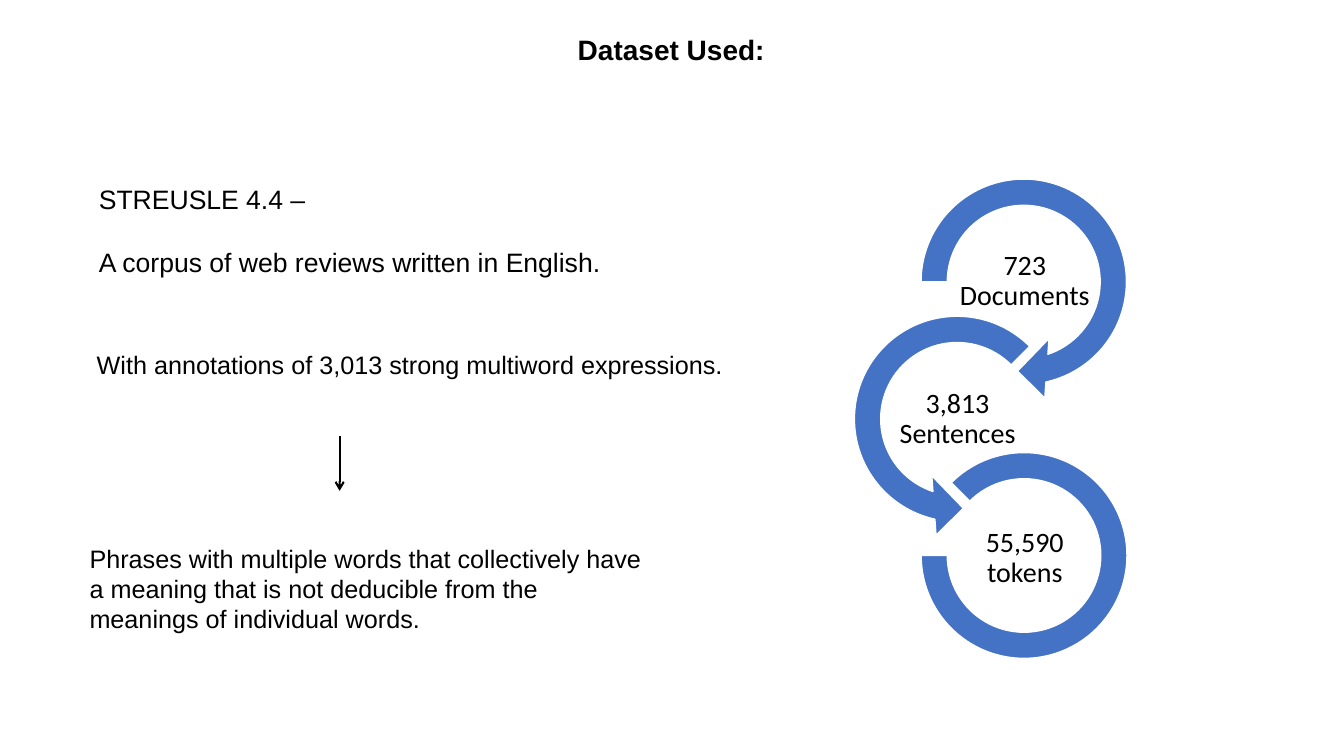
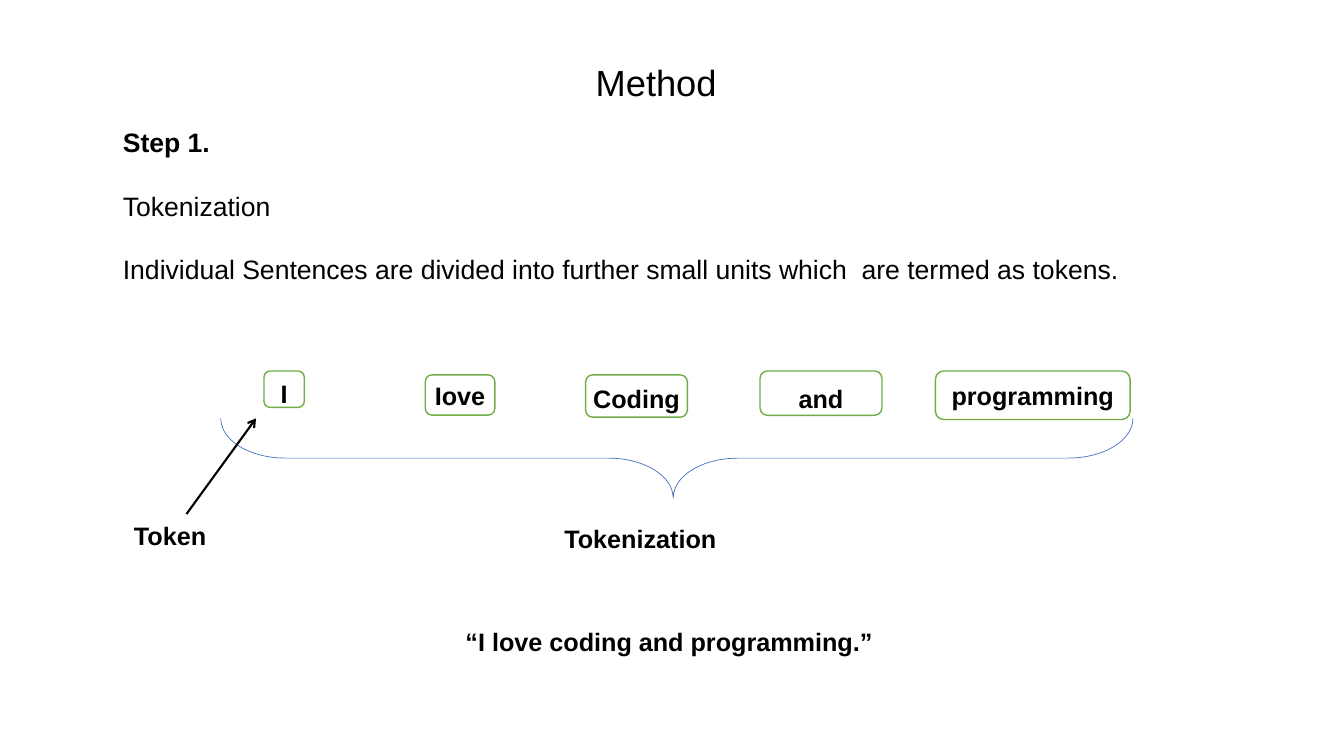
import pptx
import pptx.util
import pptx.dml.color
import pptx.enum.shapes
import pptx.enum.text
import pptx.oxml.ns
import lxml.etree

Pt = pptx.util.Pt
RGB = pptx.dml.color.RGBColor.from_string
SHAPE = pptx.enum.shapes.MSO_SHAPE
ANCHOR = pptx.enum.text.MSO_ANCHOR
ALIGN = pptx.enum.text.PP_ALIGN
qn = pptx.oxml.ns.qn

COLORS = {"text": "000000", "blue": "4472C4", "green": "70AD47", "white": "FFFFFF"}


def write(frame, lines, size, bold=False, align=ALIGN.LEFT, font="Arial", spacing=None, gap=0):
    """Fill a text frame with uniformly formatted, unbulleted paragraphs."""
    frame.word_wrap = True
    frame.auto_size = pptx.enum.text.MSO_AUTO_SIZE.NONE
    frame.text = "\n".join(lines)
    for index, paragraph in enumerate(frame.paragraphs):
        paragraph.alignment = align
        paragraph.line_spacing = spacing or Pt(size * 1.2)
        paragraph.space_before = Pt(gap if index else 0)
        paragraph.font.name = font
        paragraph.font.size = Pt(size)
        paragraph.font.bold = bold
        paragraph.font.color.rgb = RGB(COLORS["text"])
        properties = paragraph._p.get_or_add_pPr()
        properties.set("marL", "0")
        properties.set("indent", "0")
        bullet = lxml.etree.Element(qn("a:buNone"))
        properties.insert_element_before(bullet, "a:tabLst", "a:defRPr", "a:extLst")


def add_arrow(slide, start, end):
    """Draw a black line with an open arrowhead at its end."""
    arrow = slide.shapes.add_connector(
        pptx.enum.shapes.MSO_CONNECTOR.STRAIGHT, *map(Pt, start + end))
    arrow.line.color.rgb = RGB(COLORS["text"])
    arrow.line.width = Pt(1.5)
    lxml.etree.SubElement(arrow.line._get_or_add_ln(), qn("a:tailEnd"), type="arrow")
    lxml.etree.SubElement(arrow._element.spPr, qn("a:effectLst"))


presentation = pptx.Presentation()
presentation.slide_width = Pt(960)
presentation.slide_height = Pt(540)

# Titles and body text: (text, size, bold, box), then (lines, box)
slide_texts = [
    (("Dataset Used:", 20, True, (63, 22, 833, 26)),
     (["STREUSLE 4.4 –", "A corpus of web reviews written in English."],
      (63.4, 126.7, 502, 76))),
    (("Method", 25.9, False, (50.4, 42, 836.6, 33)),
     (["Step 1.", "Tokenization",
       "Individual Sentences are divided into further small units which  are termed as tokens."],
      (80.6, 86.4, 806.4, 122))),
]
for (title, size, bold, title_box), (lines, body_box) in slide_texts:
    slide = presentation.slides.add_slide(presentation.slide_layouts[1])
    heading, body = slide.placeholders
    for shape, box in ((heading, title_box), (body, body_box)):
        shape.left, shape.top, shape.width, shape.height = map(Pt, box)
    write(heading.text_frame, [title], size, bold, ALIGN.CENTER)
    heading.text_frame.vertical_anchor = ANCHOR.MIDDLE
    write(body.text_frame, lines, 19, gap=22.6)
dataset_slide, method_slide = presentation.slides
method_slide.placeholders[1].text_frame.paragraphs[0].font.bold = True

# Free-standing labels
labels = [
    (dataset_slide, "With annotations of 3,013 strong multiword expressions.", False,
     (62, 246.2, 466, 29)),
    (dataset_slide, "Phrases with multiple words that collectively have a meaning that is "
     "not deducible from the meanings of individual words.", False, (56.9, 384.5, 412, 73)),
    (method_slide, "“I love coding and programming.”", True, (325.4, 443.5, 309, 29)),
    (method_slide, "Tokenization", True, (396, 370, 142, 29)),
    (method_slide, "Token", True, (88.6, 368, 138, 29)),
]
for slide, text, bold, box in labels:
    label = slide.shapes.add_textbox(*map(Pt, box))
    write(label.text_frame, [text], 18, bold)

# Dataset: chain of circular arrows
chain = [
    (SHAPE.CIRCULAR_ARROW, (646, 116, 170.6), (0.11, 11.423, 45, 108, 0.125),
     "723 Documents", 684),
    (SHAPE.LEFT_CIRCULAR_ARROW, (598.4, 214, 170.6), (0.11, 11.423, 63, 189, 0.125),
     "3,813 Sentences", 636),
    (SHAPE.BLOCK_ARC, (658, 323.3, 147), (135, 108, 0.127), "55,590 tokens", 684),
]
for index, (kind, (left, top, side), adjustments, text, text_left) in enumerate(chain):
    ring = dataset_slide.shapes.add_shape(kind, Pt(left), Pt(top), Pt(side), Pt(side))
    for position, value in enumerate(adjustments):
        ring.adjustments[position] = value
    ring.shadow.inherit = False
    ring.fill.solid()
    ring.fill.fore_color.rgb = RGB(COLORS["blue"])
    ring.line.color.rgb = RGB(COLORS["white"])
    ring.line.width = Pt(1)

    count = dataset_slide.shapes.add_textbox(
        Pt(text_left), Pt(177 + 99 * index), Pt(96), Pt(47.6))
    frame = count.text_frame
    frame.margin_left = frame.margin_right = frame.margin_top = frame.margin_bottom = Pt(0.7)
    frame.vertical_anchor = ANCHOR.MIDDLE
    write(frame, [text], 20, align=ALIGN.CENTER, font="Calibri", spacing=0.9)

add_arrow(dataset_slide, (242.6, 311.8), (242.6, 350.6))

# Method: brace under the sentence
brace = method_slide.shapes.add_shape(SHAPE.LEFT_BRACE, Pt(455), Pt(1.4), Pt(56.9), Pt(651.6))
brace.rotation = 270
brace.adjustments[0] = 0.813
brace.adjustments[1] = 0.496
brace.shadow.inherit = False
brace.fill.background()
brace.line.color.rgb = RGB(COLORS["blue"])
brace.line.width = Pt(0.5)

# Method: tokens as (word, box, text inset from the top)
tokens = [
    ("I", (188.6, 265, 28.8, 26), 4.3),
    ("Iove", (303.8, 267.8, 49.7, 28.8), 2.2),
    ("Coding", (418.3, 267.8, 72.7, 30.2), 4.3),
    ("and", (542.9, 265, 87.1, 31.7), 7.2),
    ("programming", (668.2, 265, 139, 34.6), 5),
]
for word, box, inset in tokens:
    token = method_slide.shapes.add_shape(SHAPE.ROUNDED_RECTANGLE, *map(Pt, box))
    token.shadow.inherit = False
    token.fill.background()
    token.line.color.rgb = RGB(COLORS["green"])
    token.line.width = Pt(1)
    frame = token.text_frame
    frame.margin_left = frame.margin_right = frame.margin_bottom = 0
    frame.margin_top = Pt(inset)
    frame.vertical_anchor = ANCHOR.TOP
    write(frame, [word], 18, True, ALIGN.CENTER)

add_arrow(method_slide, (133.2, 367.2), (182.9, 298.8))

presentation.save("out.pptx")
